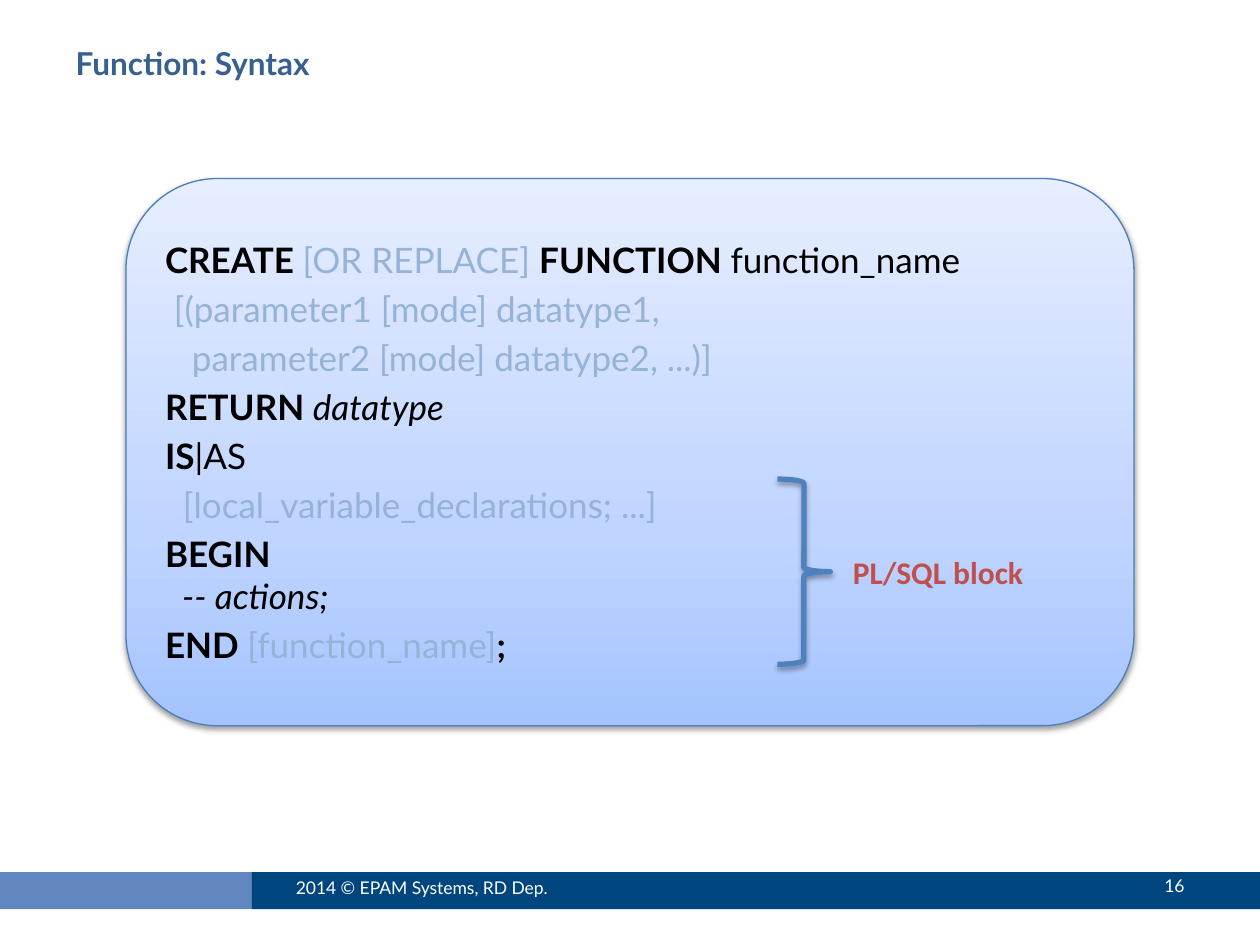
from copy import deepcopy
from dataclasses import dataclass

from lxml import etree
from pptx import Presentation
from pptx import util as u
from pptx.dml.color import RGBColor
from pptx.enum import shapes, text

WIDTH, HEIGHT = 10, 7.5
FONT = "Lato"
COLORS = {
    "title": "376092", "code": "000000", "optional": "95B3D7",
    "label": "C0504D", "white": "FFFFFF",
    "panel_line": "4B7EBC", "brace": "4F81BD",
    "bar_light": "6087BF", "bar_dark": "00467E", "shadow": "000000",
}
PANEL_STOPS = [(0, "A4C4FF"), (0.35, "BFD4FF"), (1, "E6EEFF")]


@dataclass
class Area:
    """A rectangle given as shares of the slide's width and height."""
    left: float
    top: float
    width: float
    height: float

    def emu(self) -> tuple:
        return (u.Inches(self.left * WIDTH), u.Inches(self.top * HEIGHT),
                u.Inches(self.width * WIDTH), u.Inches(self.height * HEIGHT))


@dataclass
class Piece:
    words: str
    color: str = "code"
    bold: bool = False
    italic: bool = False
    size: float = 20
    font: str = FONT


@dataclass
class Label:
    area: Area
    piece: Piece
    align: text.PP_ALIGN = text.PP_ALIGN.LEFT
    anchor: text.MSO_ANCHOR = text.MSO_ANCHOR.MIDDLE
    wrap: bool = True


def keyword(words: str) -> Piece:
    return Piece(words, bold=True)


def optional(words: str) -> Piece:
    return Piece(words, "optional")


def rgb(name: str) -> RGBColor:
    return RGBColor.from_string(COLORS[name])


def add_piece(paragraph, piece: Piece) -> None:
    run = paragraph.add_run()
    run.text = piece.words
    font = run.font
    font.name, font.size = piece.font, u.Pt(piece.size)
    font.bold, font.italic = piece.bold, piece.italic
    font.color.rgb = rgb(piece.color)


def add_label(slide, label: Label) -> None:
    frame = slide.shapes.add_textbox(*label.area.emu()).text_frame
    frame.word_wrap, frame.vertical_anchor = label.wrap, label.anchor
    frame.paragraphs[0].alignment = label.align
    add_piece(frame.paragraphs[0], label.piece)


def add_shape(slide, preset: shapes.MSO_SHAPE, area: Area):
    shape = slide.shapes.add_shape(preset, *area.emu())
    shape.shadow.inherit = False
    return shape


def add_bar(slide, area: Area, color: str) -> None:
    bar = add_shape(slide, shapes.MSO_SHAPE.RECTANGLE, area)
    bar.fill.solid()
    bar.fill.fore_color.rgb = rgb(color)
    bar.line.fill.background()


def add_shadow(shape, alpha: int, distance: float) -> None:
    effects = shape._element.spPr.find("{*}effectLst")
    effects.append(etree.fromstring(
        '<a:outerShdw xmlns:a="http://schemas.openxmlformats.org/drawingml/2006/main"'
        f' blurRad="{u.Pt(3.1)}" dist="{u.Pt(distance)}" dir="5400000" rotWithShape="0">'
        f'<a:srgbClr val="{COLORS["shadow"]}"><a:alpha val="{alpha * 1000}"/></a:srgbClr>'
        '</a:outerShdw>'))


def set_outline(shape, color: str, points: float) -> None:
    shape.line.color.rgb = rgb(color)
    shape.line.width = u.Pt(points)


def fill_gradient(shape, stops: list, angle: float) -> None:
    shape.fill.gradient()
    shape.fill.gradient_angle = angle
    stop_list = shape._element.spPr.find("{*}gradFill/{*}gsLst")
    stop_list.append(deepcopy(stop_list[0]))
    for stop, (position, color) in zip(shape.fill.gradient_stops, stops):
        stop.position = position
        stop.color.rgb = RGBColor.from_string(color)


# Each paragraph is a list of pieces; None is a line break inside it
SYNTAX = [
    [keyword("CREATE "), optional("[OR REPLACE] "), keyword("FUNCTION "),
     Piece("function_name")],
    [optional(" [(parameter1 [mode] datatype1,")],
    [optional("   parameter2 [mode] datatype2, ...)]")],
    [keyword("RETURN "), Piece("datatype", italic=True)],
    [keyword("IS"), Piece("|AS")],
    [Piece("  "), optional("[local_variable_declarations; ...]")],
    [keyword("BEGIN"), None, keyword("  "), Piece("-- actions;", italic=True)],
    [keyword("END "), optional("[function_name]"), keyword(";")],
]

BAR_TOP, BAR_HEIGHT = 0.923, 0.039
BARS = [
    (Area(0, BAR_TOP, 0.2, BAR_HEIGHT), "bar_light"),
    (Area(0.2, BAR_TOP, 0.8, BAR_HEIGHT), "bar_dark"),
]
LABELS = [
    Label(Area(0.225, 0.913, 0.267, 0.053),
          Piece("2014 © EPAM Systems, RD Dep.", "white", size=10)),
    Label(Area(0.842, 0.911, 0.108, 0.053), Piece("16", "white", size=10),
          align=text.PP_ALIGN.RIGHT),
    Label(Area(0.667, 0.579, 0.184, 0.053),
          Piece("PL/SQL block", "label", bold=True, size=18, font="Calibri"),
          anchor=text.MSO_ANCHOR.TOP, wrap=False),
]


def add_title(slide, piece: Piece) -> None:
    title = slide.shapes.title
    title.left, title.top, title.width, title.height = Area(0.05, 0.04, 0.9, 0.104).emu()
    frame = title.text_frame
    frame.auto_size = text.MSO_AUTO_SIZE.NONE
    frame.vertical_anchor = text.MSO_ANCHOR.TOP
    frame.paragraphs[0].alignment = text.PP_ALIGN.LEFT
    add_piece(frame.paragraphs[0], piece)


def add_syntax_panel(slide) -> None:
    panel = add_shape(slide, shapes.MSO_SHAPE.FLOWCHART_ALTERNATE_PROCESS,
                      Area(0.1, 0.189, 0.8, 0.579))
    fill_gradient(panel, PANEL_STOPS, 90)
    set_outline(panel, "panel_line", 0.75)
    add_shadow(panel, 38, 1.6)
    frame = panel.text_frame
    frame.word_wrap, frame.vertical_anchor = True, text.MSO_ANCHOR.MIDDLE
    for index, pieces in enumerate(SYNTAX):
        paragraph = frame.add_paragraph() if index else frame.paragraphs[0]
        paragraph.alignment = text.PP_ALIGN.LEFT
        paragraph.space_before = u.Pt(4 if index else 0)
        for piece in pieces:
            if piece is None:
                paragraph.add_line_break()
            else:
                add_piece(paragraph, piece)


def main() -> None:
    deck = Presentation()
    deck.slide_width, deck.slide_height = u.Inches(WIDTH), u.Inches(HEIGHT)
    slide = deck.slides.add_slide(deck.slide_layouts[5])

    # Footer bars
    for area, color in BARS:
        add_bar(slide, area, color)

    # Title and syntax
    add_title(slide, Piece("Function: Syntax", "title", bold=True, size=18))
    add_syntax_panel(slide)

    # Brace around the block
    brace = add_shape(slide, shapes.MSO_SHAPE.RIGHT_BRACE, Area(0.617, 0.507, 0.042, 0.196))
    brace.fill.background()
    set_outline(brace, "brace", 3)
    add_shadow(brace, 35, 1.8)

    # Footer texts and block label
    for label in LABELS:
        add_label(slide, label)

    deck.save("out.pptx")


if __name__ == "__main__":
    main()
